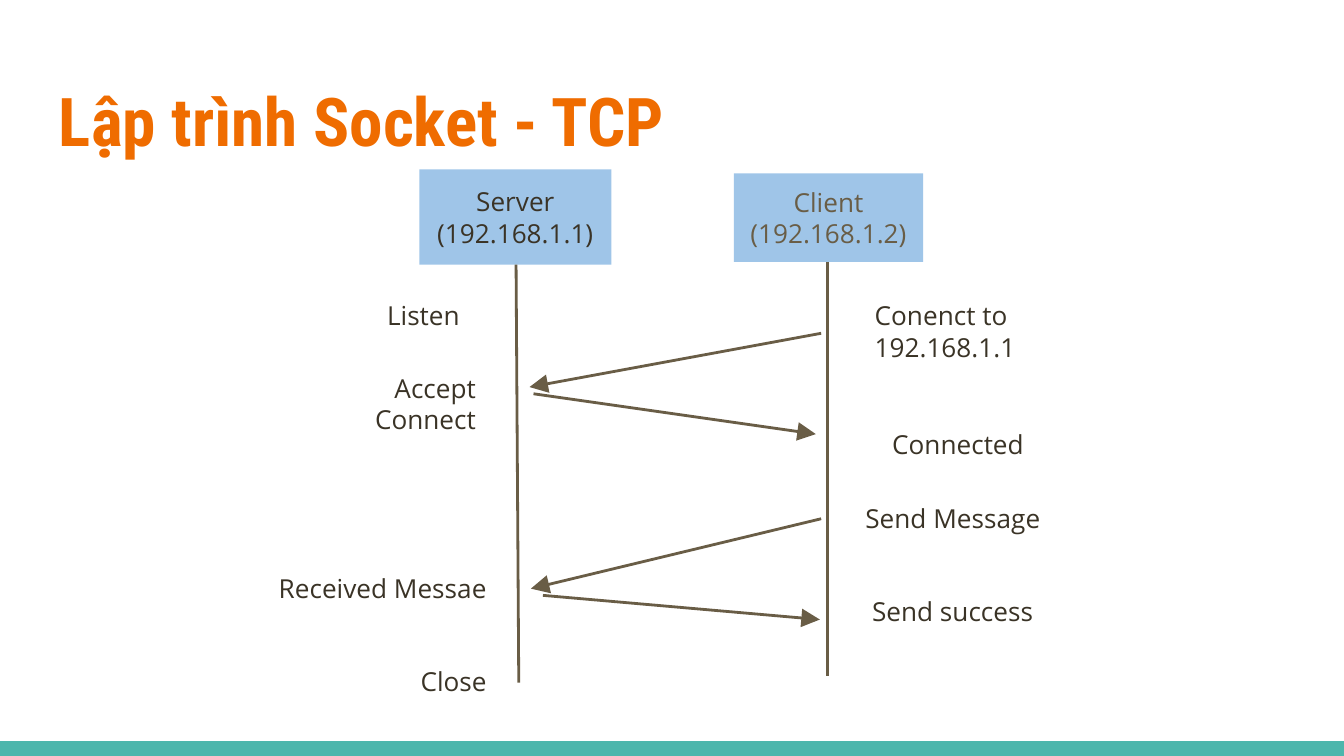
from lxml.etree import SubElement
from pptx import Presentation
from pptx.dml.color import RGBColor
from pptx.enum.shapes import MSO_CONNECTOR, MSO_SHAPE
from pptx.enum.text import MSO_ANCHOR, PP_ALIGN
from pptx.oxml.ns import qn
from pptx.util import Inches, Pt

WIDTH = 10
HEIGHT = WIDTH * 9 / 16
BAR_HEIGHT = 0.11
INSET = 0.1
LEFT, CENTER, RIGHT = PP_ALIGN.LEFT, PP_ALIGN.CENTER, PP_ALIGN.RIGHT

THEME = {
    "bar": "4DB6AC", "host": "9FC5E8", "line": "695D46", "line_width": 1.5,
    "title": {"name": "Roboto Condensed", "size": 36, "bold": True, "color": "EF6C00"},
    "body": {"name": "Open Sans", "size": 14, "bold": False, "color": "3A3326"},
    "muted": {"name": "Open Sans", "size": 14, "bold": False, "color": "695D46"},
}

# Content: "\v" is a line break inside a paragraph
TITLE = "Lập trình Socket - TCP"
# text, style, (left, top, width, height), lifeline start x, end x, end y
HOSTS = [
    ("Server\v(192.168.1.1)", "body", (3.12, 1.26, 1.43, 0.71), 3.84, 3.86, 5.08),
    ("Client\v(192.168.1.2)", "muted", (5.46, 1.29, 1.41, 0.66), 6.16, 6.16, 5.03),
]
# text, right edge, top, width, height
SERVER_STEPS = [
    ("Listen", 3.52, 2.13, 1.71, 0.5),
    ("Accept Connect", 3.64, 2.67, 1.6, 0.5),
    ("Received Messae", 3.72, 4.16, 1.91, 0.5),
    ("Close", 3.72, 4.85, 1.07, 0.88),
]
# text, left edge, top, width, height
CLIENT_STEPS = [
    ("Conenct to\v192.168.1.1", 6.41, 2.13, 1.41, 0.71),
    ("Connected", 6.54, 3.09, 1.23, 0.5),
    ("Send Message", 6.34, 3.64, 1.71, 0.5),
    ("Send success", 6.39, 4.33, 1.8, 0.83),
]
MESSAGES = [
    ((6.11, 2.48), (3.94, 2.88)),
    ((3.97, 2.93), (6.07, 3.23)),
    ((6.11, 3.86), (3.95, 4.38)),
    ((4.04, 4.43), (6.1, 4.61)),
]

deck = Presentation()
deck.slide_width, deck.slide_height = Inches(WIDTH), Inches(HEIGHT)
page = deck.slides.add_slide(deck.slide_layouts[6])


def write(box, text, style, align=LEFT, anchor=MSO_ANCHOR.TOP):
    frame = box.text_frame
    settings = {"word_wrap": True, "vertical_anchor": anchor}
    settings.update({f"margin_{side}": Inches(INSET)
                     for side in ("left", "top", "right", "bottom")})
    for name, value in settings.items():
        setattr(frame, name, value)
    para = frame.paragraphs[0]
    para.text, para.alignment = text, align
    look = THEME[style]
    for span in para.runs:
        for name, value in {"name": look["name"], "size": Pt(look["size"]),
                            "bold": look["bold"]}.items():
            setattr(span.font, name, value)
        span.font.color.rgb = RGBColor.from_string(look["color"])


def add_label(area, *text_format):
    box = page.shapes.add_textbox(*map(Inches, area))
    write(box, *text_format)


def add_block(area, color):
    block = page.shapes.add_shape(MSO_SHAPE.RECTANGLE, *map(Inches, area))
    block.shadow.inherit = False
    block.fill.solid()
    block.fill.fore_color.rgb = RGBColor.from_string(color)
    block.line.fill.background()
    return block


def add_line(start, end, arrow=False):
    line = page.shapes.add_connector(MSO_CONNECTOR.STRAIGHT, *map(Inches, (*start, *end)))
    line.line.color.rgb = RGBColor.from_string(THEME["line"])
    line.line.width = Pt(THEME["line_width"])
    if arrow:
        SubElement(line.line._get_or_add_ln(), qn("a:tailEnd"),
                   type="triangle", w="lg", len="lg")
    SubElement(line._element.spPr, qn("a:effectLst"))


# Footer bar and title
add_block((0, HEIGHT - BAR_HEIGHT, WIDTH, BAR_HEIGHT), THEME["bar"])
add_label((0.34, 0.49, 9.32, 0.77), TITLE, "title")

# Hosts with their lifelines
for text, style, area, start_x, end_x, end_y in HOSTS:
    write(add_block(area, THEME["host"]), text, style, CENTER, MSO_ANCHOR.MIDDLE)
    add_line((start_x, area[1] + area[3]), (end_x, end_y))

# Steps on either side
for text, right, top, width, height in SERVER_STEPS:
    add_label((right - width, top, width, height), text, "body", RIGHT)
for text, left, top, width, height in CLIENT_STEPS:
    add_label((left, top, width, height), text, "body")

# Messages between the hosts
for start, end in MESSAGES:
    add_line(start, end, arrow=True)

deck.save("out.pptx")
